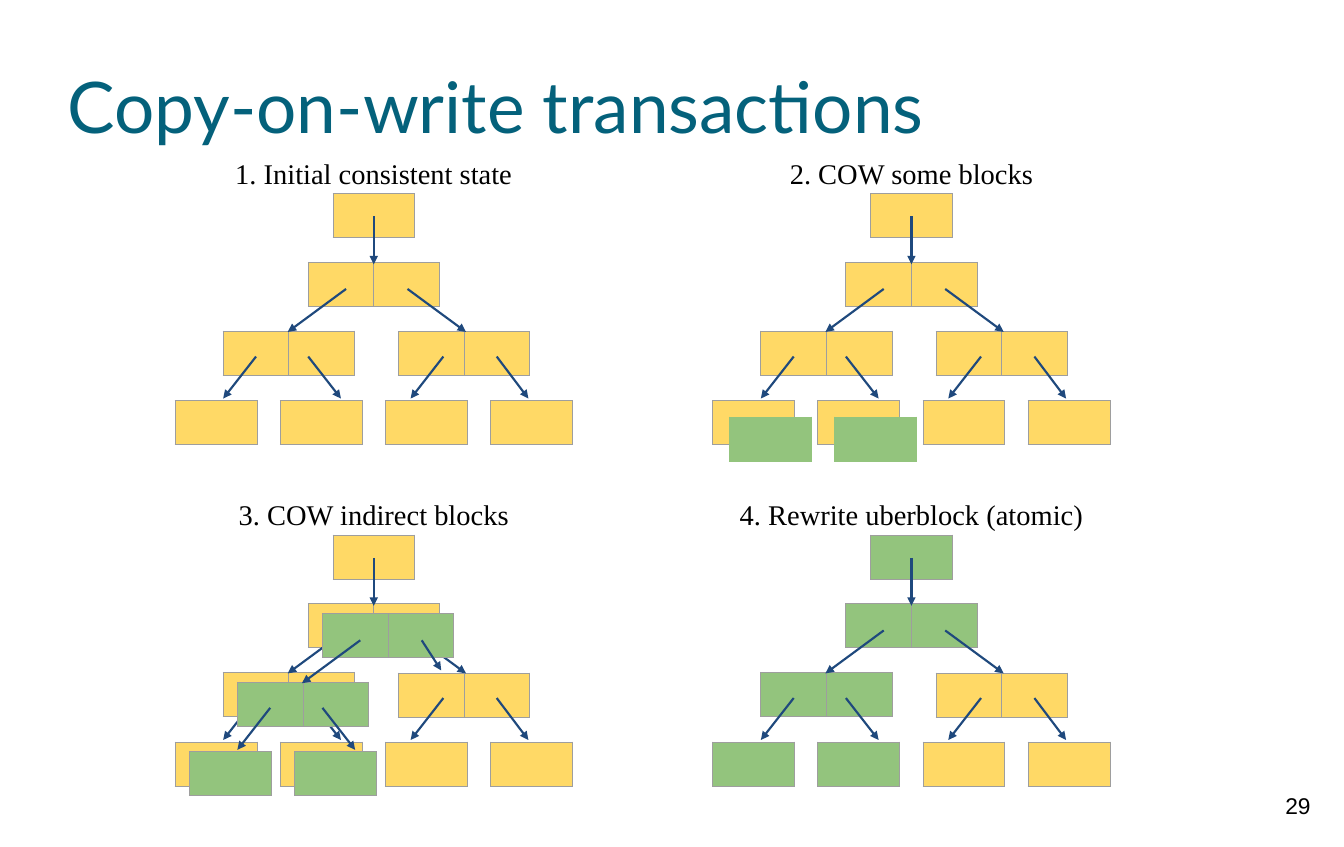
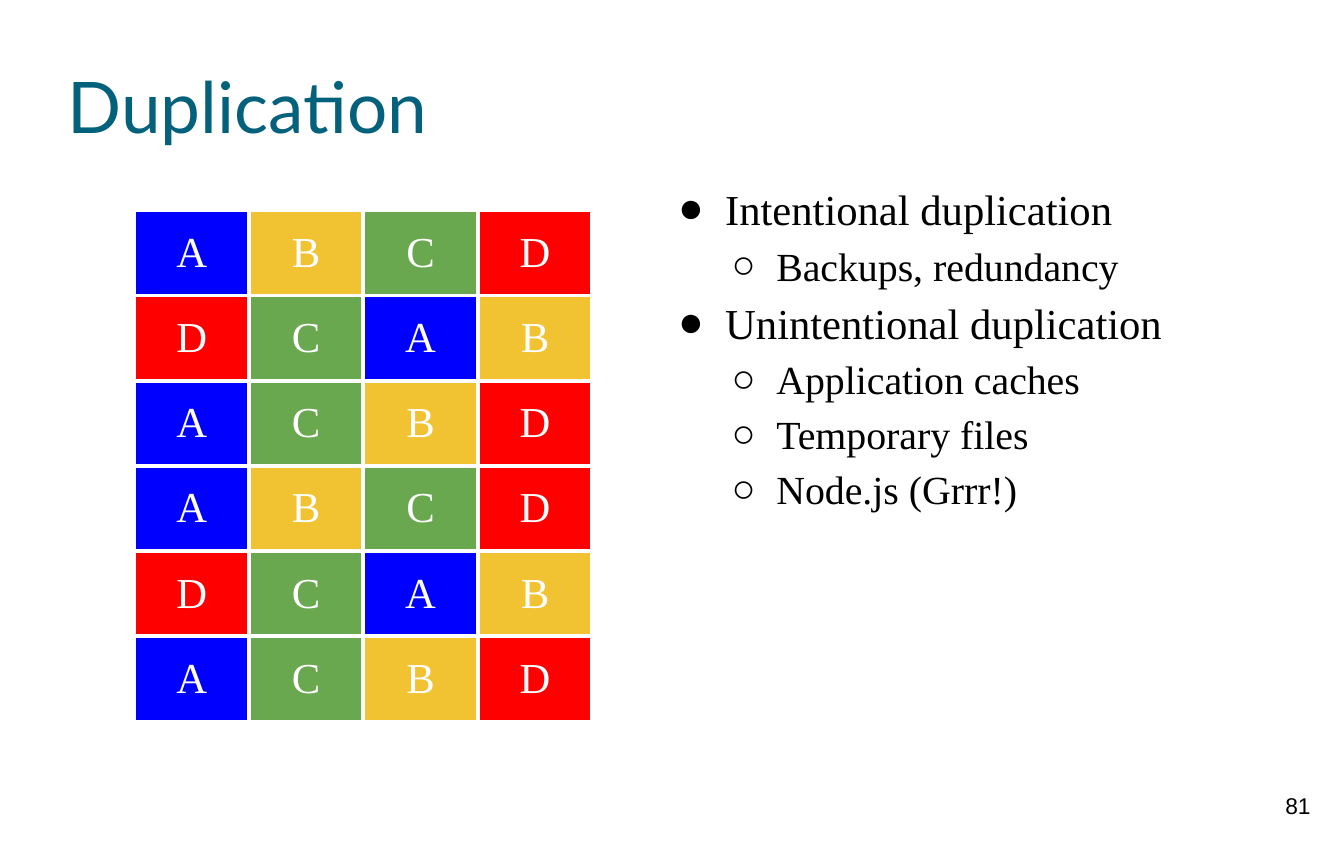
import pptx
import pptx.util
import pptx.dml.color
import pptx.enum.shapes
import pptx.enum.text
import pptx.oxml
import pptx.oxml.ns
from lxml import etree

Pt = pptx.util.Pt
RGB = pptx.dml.color.RGBColor
ALIGN = pptx.enum.text.PP_ALIGN
ANCHOR = pptx.enum.text.MSO_ANCHOR
qn = pptx.oxml.ns.qn

TEAL = RGB(0x04, 0x61, 0x7B)
BLACK = RGB(0, 0, 0)
WHITE = RGB(255, 255, 255)
GRAY = RGB(0x9E, 0x9E, 0x9E)
YELLOW = RGB(0xFF, 0xD9, 0x66)
GREEN = RGB(0x93, 0xC4, 0x7D)
NAVY = RGB(0x1F, 0x49, 0x7D)
SERIF = "Times New Roman"

TONES = {
    "A": RGB(0, 0, 255),
    "B": RGB(0xF1, 0xC2, 0x32),
    "C": RGB(0x6A, 0xA8, 0x4F),
    "D": RGB(255, 0, 0),
}
GRID = ["ABCD", "DCAB", "ACBD"] * 2
POINTS = [
    (0, "Intentional duplication"),
    (1, "Backups, redundancy"),
    (0, "Unintentional duplication"),
    (1, "Application caches"),
    (1, "Temporary files"),
    (1, "Node.js (Grrr!)"),
]
LEVELS = [("●", 36, -33, 30), ("○", 72, -31.5, 28)]

NODES = {
    "uber": (111, 0, 1),
    "root": (93.6, 48.2, 2),
    "left": (33.8, 96.5, 2),
    "right": (157, 97, 2),
}
NODES.update({f"leaf{i}": (i * 73.9, 145.4, 1) for i in range(4)})
WIDTHS = {1: 57.6, 2: 46.1}
HIGH = 31
ARROWS = [
    ("uber", (139.7, 16), (139.7, 49.7)),
    ("root", (120.2, 67), (79.2, 97.2)),
    ("left", (56.9, 114.5), (33.8, 144)),
    ("root", (163.4, 67), (204.5, 97.2)),
    ("right", (188.6, 114.5), (165.6, 144)),
    ("left", (93.6, 114.5), (116.6, 144)),
    ("right", (226.1, 114.5), (248.4, 144)),
]
STUB = ("root", (163.4, 67), (177.1, 88.2))
DIRTY = ["leaf0", "leaf1"]
INNER = ["root", "left"] + DIRTY

PANELS = [
    dict(label="1. Initial consistent state"),
    dict(label="2. COW some blocks", copies=DIRTY, shift=(11.7, 11.7), edge=GREEN),
    dict(label="3. COW indirect blocks", copies=INNER, shift=(10, 6.9)),
    dict(label="4. Rewrite uberblock (atomic)", fresh=["uber"] + INNER),
]
START = (123.1, 136.1)
STEP = (378, 240)


def write(para, text, size, color, font):
    run = para.add_run()
    run.text = text
    run.font.size = Pt(size)
    run.font.name = font
    run.font.color.rgb = color


def add_box(slide, x, y, w, h, inset=0, anchor=ANCHOR.TOP):
    frame = slide.shapes.add_textbox(Pt(x), Pt(y), Pt(w), Pt(h)).text_frame
    frame.word_wrap = True
    frame.vertical_anchor = anchor
    frame.margin_left = frame.margin_right = Pt(inset)
    frame.margin_top = frame.margin_bottom = Pt(inset)
    return frame


def add_slide(deck, title, number):
    slide = deck.slides.add_slide(deck.slide_layouts[6])
    page = add_box(slide, 884, 549.4, 57, 45, 7.2).paragraphs[0]
    page.alignment = ALIGN.CENTER
    write(page, str(number), 16, BLACK, "Arial")
    head = add_box(slide, 47.5, 23.8, 850, 99.4, anchor=ANCHOR.MIDDLE)
    write(head.paragraphs[0], title, 50, TEAL, "Lato")
    return slide


def add_grid(slide, x, y, w, h, rows, cols):
    frame = slide.shapes.add_table(
        rows, cols, Pt(x), Pt(y), Pt(w * cols), Pt(h * rows))
    table = frame.table
    table.first_row = table.horz_banding = False
    for col in table.columns:
        col.width = Pt(w)
    for row in table.rows:
        row.height = Pt(h)
    return table


def style_cell(cell, fill, edge, width):
    props = cell._tc.get_or_add_tcPr()
    for side in ("lnL", "lnR", "lnT", "lnB"):
        line = etree.SubElement(props, qn(f"a:{side}"), w=str(Pt(width)))
        solid = etree.SubElement(line, qn("a:solidFill"))
        etree.SubElement(solid, qn("a:srgbClr"), val=str(edge))
    cell.fill.solid()
    cell.fill.fore_color.rgb = fill


def add_arrow(slide, x, y, start, end):
    line = slide.shapes.add_connector(
        pptx.enum.shapes.MSO_CONNECTOR.STRAIGHT,
        Pt(x + start[0]), Pt(y + start[1]), Pt(x + end[0]), Pt(y + end[1]))
    line.line.color.rgb = NAVY
    line.line.width = Pt(1.5)
    etree.SubElement(line.line._get_or_add_ln(), qn("a:tailEnd"), type="triangle")
    etree.SubElement(line._element.spPr, qn("a:effectLst"))


def add_tree(slide, x, y, names, fresh, edge, arrows):
    for name in names:
        left, top, count = NODES[name]
        table = add_grid(slide, x + left, y + top, WIDTHS[count], HIGH, 1, count)
        for cell in table.iter_cells():
            style_cell(cell, GREEN if name in fresh else YELLOW, edge, 0.75)
    for name, start, end in arrows:
        if name in names:
            add_arrow(slide, x, y, start, end)


def add_panel(slide, x, y, label, copies=(), shift=(0, 0), edge=GRAY, fresh=()):
    add_tree(slide, x, y, NODES, fresh, GRAY, ARROWS)
    para = add_box(slide, x + 9.7, y - 29.5, 260, 29.5, 7.2, ANCHOR.MIDDLE).paragraphs[0]
    para.alignment = ALIGN.CENTER
    write(para, label, 20, BLACK, SERIF)
    moved = [STUB if i == 3 else arrow for i, arrow in enumerate(ARROWS)]
    add_tree(slide, x + shift[0], y + shift[1], copies, copies, edge, moved)


def add_points(slide):
    frame = add_box(slide, 473.8, 123.1, 426, 445.7)
    for i, (level, text) in enumerate(POINTS):
        para = frame.add_paragraph() if i else frame.paragraphs[0]
        mark, left, hang, size = LEVELS[level]
        para.level = level
        para.line_spacing = 1.15
        props = para._p.get_or_add_pPr()
        props.set("marL", str(Pt(left)))
        props.set("indent", str(Pt(hang)))
        tint = etree.SubElement(props, qn("a:buClr"))
        etree.SubElement(tint, qn("a:srgbClr"), val=str(BLACK))
        etree.SubElement(props, qn("a:buFont"), typeface=SERIF)
        etree.SubElement(props, qn("a:buChar"), char=mark)
        write(para, text, size, BLACK, SERIF)


def add_blocks(slide):
    table = add_grid(slide, 94.5, 147.7, 80.5, 59.9, len(GRID), len(GRID[0]))
    for cell, letter in zip(table.iter_cells(), "".join(GRID)):
        style_cell(cell, TONES[letter], WHITE, 3)
        cell.vertical_anchor = ANCHOR.MIDDLE
        cell.margin_left = cell.margin_right = Pt(7.2)
        cell.margin_top = cell.margin_bottom = Pt(7.2)
        para = cell.text_frame.paragraphs[0]
        para.alignment = ALIGN.CENTER
        write(para, letter, 30, WHITE, SERIF)


def main():
    deck = pptx.Presentation()
    deck.slide_width, deck.slide_height = Pt(944.88), Pt(595.28)
    slide = add_slide(deck, "Copy-on-write transactions", 29)
    for i, panel in enumerate(PANELS):
        row, col = divmod(i, 2)
        add_panel(slide, START[0] + col * STEP[0], START[1] + row * STEP[1], **panel)
    slide = add_slide(deck, "Duplication", 81)
    add_points(slide)
    add_blocks(slide)
    deck.save("out.pptx")


if __name__ == "__main__":
    main()
